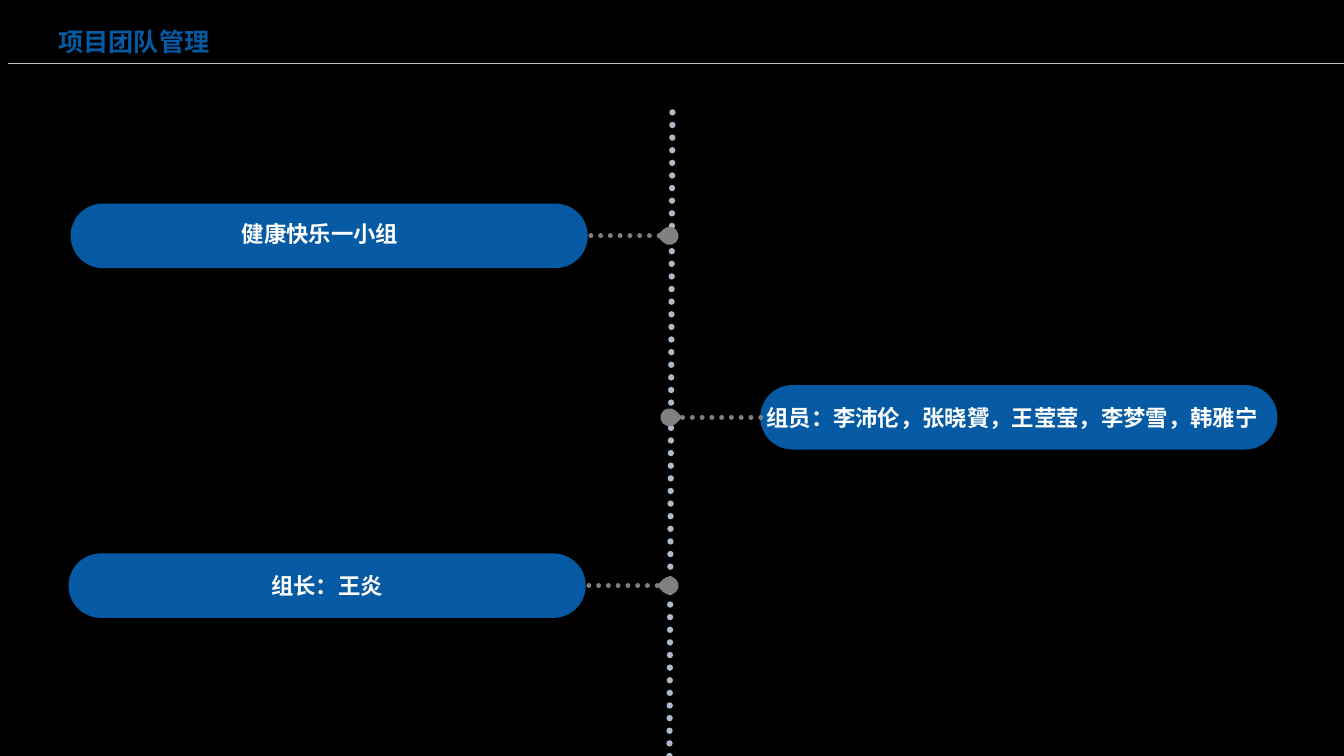
from dataclasses import dataclass

from lxml import etree
from pptx import Presentation
from pptx.dml.color import RGBColor
from pptx.enum.dml import MSO_LINE
from pptx.enum.shapes import MSO_CONNECTOR, MSO_SHAPE
from pptx.enum.text import MSO_AUTO_SIZE, PP_ALIGN
from pptx.oxml.ns import qn
from pptx.util import Inches, Pt

STRAIGHT = MSO_CONNECTOR.STRAIGHT
PILL = MSO_SHAPE.ROUNDED_RECTANGLE
DROP = MSO_SHAPE.TEAR
DOTTED = MSO_LINE.ROUND_DOT
GROW = MSO_AUTO_SIZE.SHAPE_TO_FIT_TEXT
LEFT, CENTER = PP_ALIGN.LEFT, PP_ALIGN.CENTER

COLUMNS, ROWS = 13.33, 7.5
CELL = Inches(1)

PILL_WIDTH, PILL_HEIGHT = 5.13, 0.64
LINK_WIDTH = 0.8
LINK_GAP = 0.03
LINK_OVERLAP = 0.03
LABEL_HEIGHT = 0.27
DROP_LEFT, DROP_SIZE = 6.55, 0.18


@dataclass(frozen=True)
class Theme:
    background: RGBColor = RGBColor(0x00, 0x00, 0x00)
    blue: RGBColor = RGBColor(0x05, 0x5A, 0xA3)
    gray: RGBColor = RGBColor(0x80, 0x80, 0x80)
    rule: RGBColor = RGBColor(0xBF, 0xBF, 0xBF)
    spine: RGBColor = RGBColor(0xAD, 0xBA, 0xCA)
    white: RGBColor = RGBColor(0xFF, 0xFF, 0xFF)
    title_font: str = "Noto Sans CJK SC"
    label_font: str = "Arial"
    title_size: float = 18
    label_size: float = 16
    spine_weight: float = 4.5
    link_weight: float = 3.5
    rule_weight: float = 0.25


@dataclass(frozen=True)
class Area:
    column: float
    row: float
    width: float
    height: float

    def lengths(self) -> tuple[int, ...]:
        values = (self.column, self.row, self.width, self.height)
        return tuple(round(value * CELL) for value in values)


@dataclass(frozen=True)
class Entry:
    text: str
    column: float
    row: float
    label_column: float
    label_row: float
    label_width: float
    right_side: bool = False

    @property
    def middle(self) -> float:
        return self.row + PILL_HEIGHT / 2

    @property
    def link_column(self) -> float:
        if self.right_side:
            return self.column + LINK_OVERLAP - LINK_WIDTH
        return self.column + PILL_WIDTH + LINK_GAP


THEME = Theme()
ENTRIES = (
    Entry("组长：王炎", 0.68, 5.49, 2.49, 5.68, 1.51),
    Entry("健康快乐一小组", 0.7, 2.02, 2.33, 2.18, 1.69),
    Entry("组员：李沛伦，张晓贇，王莹莹，李梦雪，韩雅宁",
          7.54, 3.82, 7.41, 4.01, 5.26, right_side=True),
)


def add_line(page, start: tuple[float, float], end: tuple[float, float], *,
             color: RGBColor, weight: float, dotted: bool = False) -> None:
    ends = (round(value * CELL) for value in (*start, *end))
    line = page.shapes.add_connector(STRAIGHT, *ends)
    line.line.color.rgb = color
    line.line.width = Pt(weight)
    properties = line._element.spPr
    if dotted:
        line.line.dash_style = DOTTED
        properties.find(qn("a:ln")).set("cap", "rnd")
    etree.SubElement(properties, qn("a:effectLst"))


def add_shape(page, kind: int, area: Area, color: RGBColor, *,
              rotation: float = 0, rounding: float | None = None) -> None:
    shape = page.shapes.add_shape(kind, *area.lengths())
    shape.shadow.inherit = False
    shape.fill.solid()
    shape.fill.fore_color.rgb = color
    shape.line.fill.background()
    shape.rotation = rotation
    if rounding is not None:
        shape.adjustments[0] = rounding


def add_text(page, text: str, area: Area, *, size: float, font: str,
             color: RGBColor, align: int = LEFT, wrap: bool = True,
             inset: bool = True) -> None:
    box = page.shapes.add_textbox(*area.lengths())
    frame = box.text_frame
    frame.word_wrap = wrap
    frame.auto_size = GROW
    if not inset:
        frame.margin_left = frame.margin_right = 0
        frame.margin_top = frame.margin_bottom = 0
    para = frame.paragraphs[0]
    para.alignment = align
    span = para.add_run()
    span.text = text
    span.font.size = Pt(size)
    span.font.bold = True
    span.font.color.rgb = color
    span.font.name = font
    east_asian = etree.SubElement(span.font._element, qn("a:ea"))
    east_asian.set("typeface", THEME.title_font)


def add_drop(page, entry: Entry) -> None:
    area = Area(DROP_LEFT, entry.middle - DROP_SIZE / 2, DROP_SIZE, DROP_SIZE)
    add_shape(page, DROP, area, THEME.gray,
              rotation=45 if entry.right_side else 225)


def add_entry(page, entry: Entry) -> None:
    pill = Area(entry.column, entry.row, PILL_WIDTH, PILL_HEIGHT)
    add_shape(page, PILL, pill, THEME.blue, rounding=0.5)
    add_line(page, (entry.link_column, entry.middle),
             (entry.link_column + LINK_WIDTH, entry.middle),
             color=THEME.gray, weight=THEME.link_weight, dotted=True)
    label = Area(entry.label_column, entry.label_row,
                 entry.label_width, LABEL_HEIGHT)
    add_text(page, entry.text, label, size=THEME.label_size,
             font=THEME.label_font, color=THEME.white, align=CENTER,
             inset=False)


def main() -> None:
    deck = Presentation()
    deck.slide_width = round(COLUMNS * CELL)
    deck.slide_height = round(ROWS * CELL)
    page = deck.slides.add_slide(deck.slide_layouts[6])
    page.background.fill.solid()
    page.background.fill.fore_color.rgb = THEME.background

    add_line(page, (6.64, ROWS), (6.67, 1.01), color=THEME.spine,
             weight=THEME.spine_weight, dotted=True)
    for entry in ENTRIES:
        add_drop(page, entry)
    for entry in ENTRIES:
        add_entry(page, entry)
    add_line(page, (0.08, 0.63), (COLUMNS, 0.63), color=THEME.rule,
             weight=THEME.rule_weight)
    add_text(page, "项目团队管理", Area(0.48, 0.21, 1.72, 0.4),
             size=THEME.title_size, font=THEME.title_font,
             color=THEME.blue, wrap=False)
    deck.save("out.pptx")


if __name__ == "__main__":
    main()
